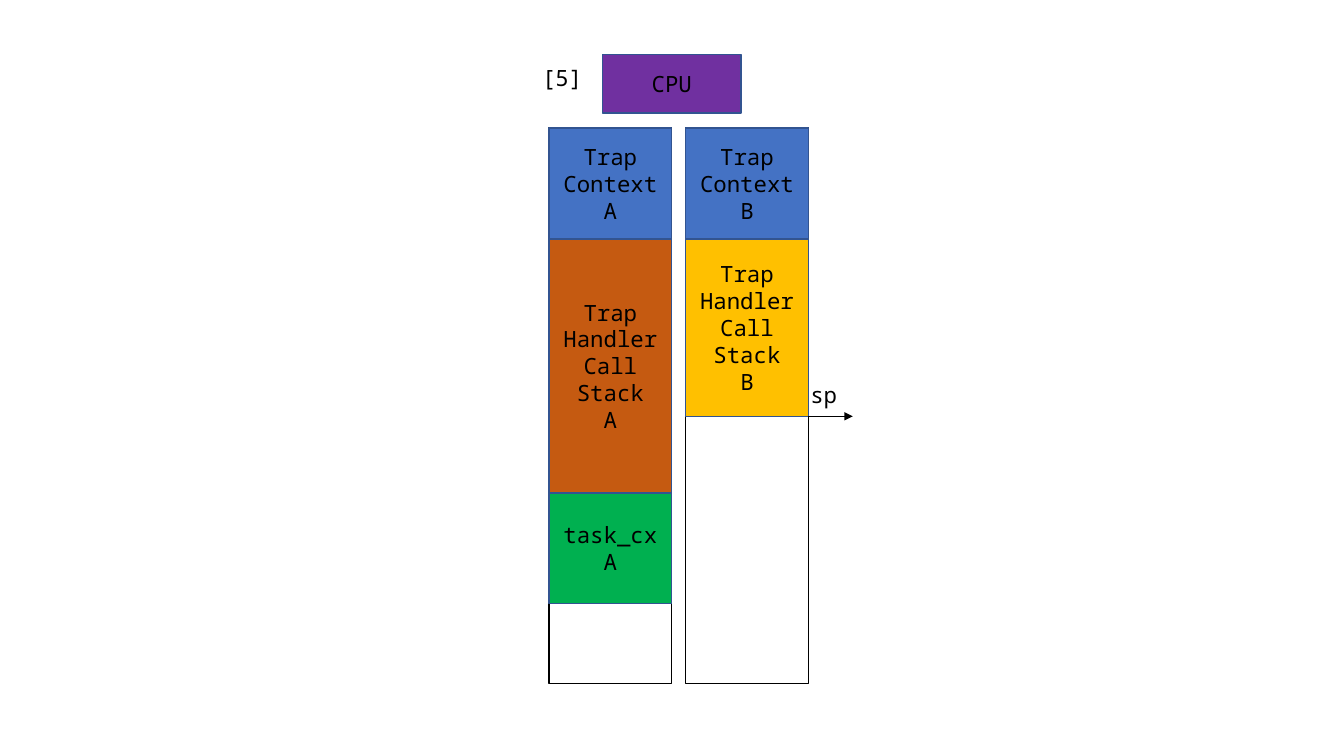
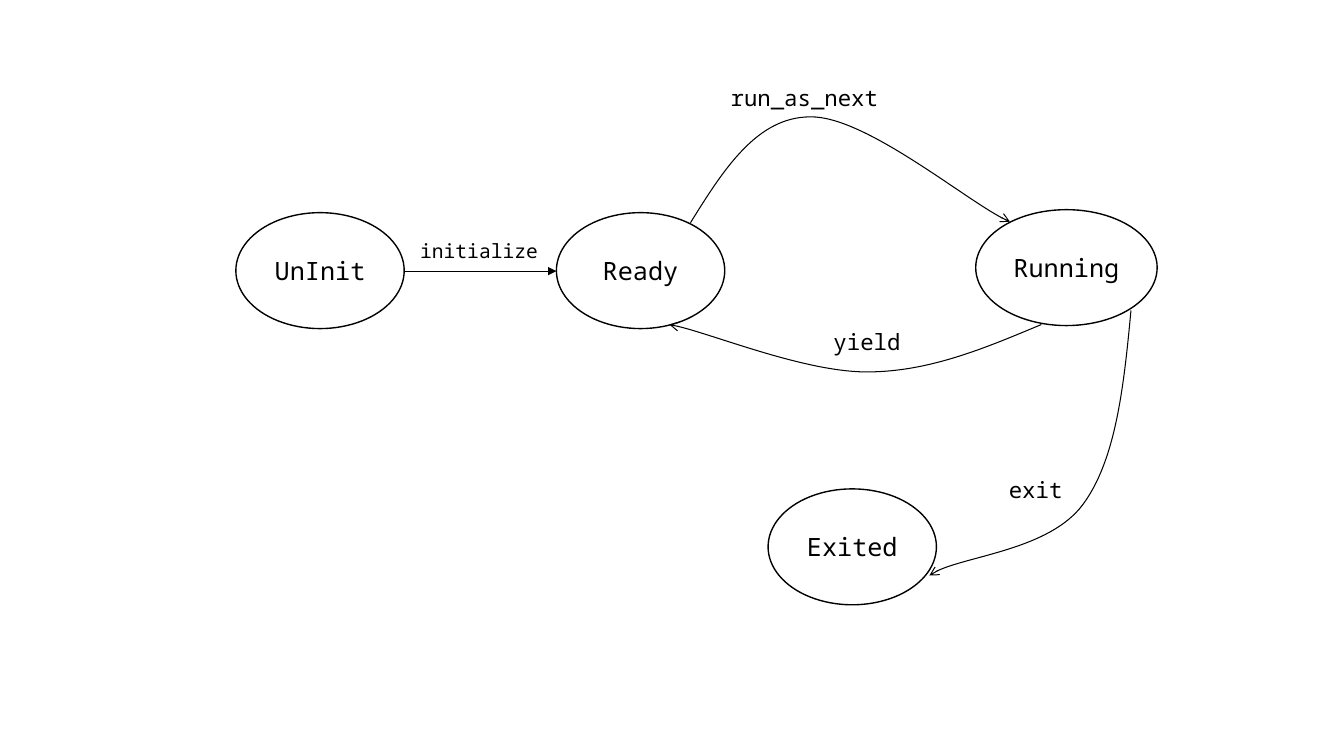
from dataclasses import dataclass
from typing import NamedTuple

from lxml import etree
from pptx import Presentation
from pptx.dml.color import RGBColor
from pptx.enum.shapes import MSO_CONNECTOR, MSO_SHAPE
from pptx.enum.text import MSO_ANCHOR, MSO_AUTO_SIZE, PP_ALIGN
from pptx.oxml.ns import qn
from pptx.shapes.base import BaseShape
from pptx.slide import Slide
from pptx.text.text import TextFrame
from pptx.util import Inches, Length, Pt

RECTANGLE = MSO_SHAPE.RECTANGLE
OVAL = MSO_SHAPE.OVAL
STRAIGHT = MSO_CONNECTOR.STRAIGHT
MIDDLE = MSO_ANCHOR.MIDDLE
CENTER = PP_ALIGN.CENTER
LEFT = PP_ALIGN.LEFT
FIT_SHAPE = MSO_AUTO_SIZE.SHAPE_TO_FIT_TEXT

CELL = 0.1
COLUMNS = 133.33
ROWS = 75
BLANK_LAYOUT = 6
BEZIER_POINTS = 3


@dataclass(frozen=True)
class Theme:
    font: str = "Noto Sans Mono"
    ink: str = "000000"
    paper: str = "FFFFFF"
    edge: str = "325491"
    trap_context: str = "4472C4"
    call_stack_a: str = "C55A11"
    call_stack_b: str = "FFC000"
    task_context: str = "00B050"
    cpu: str = "7030A0"
    small_size: float = 14
    body_size: float = 16
    state_size: float = 18
    outline: float = 1
    curve_line: float = 0.75
    arrow_line: float = 0.5


THEME = Theme()


class Point(NamedTuple):
    column: float
    row: float


class Box(NamedTuple):
    column: float
    row: float
    columns: float
    rows: float


class Block(NamedTuple):
    rows: float
    fill: str
    lines: tuple[str, ...]


class Stack(NamedTuple):
    column: float
    blocks: tuple[Block, ...]


class State(NamedTuple):
    name: str
    box: Box


class Label(NamedTuple):
    text: str
    box: Box
    size: float = THEME.body_size


STACK_TOP = 12.7
STACK_COLUMNS = 12.2
STACK_ROWS = 55.1
CONTEXT_ROWS = 11
CALL_STACK_WORDS = ("Trap", "Handler", "Call", "Stack")

STACKS = (
    Stack(54.45, (
        Block(CONTEXT_ROWS, THEME.trap_context, ("Trap", "Context", "A")),
        Block(25.2, THEME.call_stack_a, (*CALL_STACK_WORDS, "A")),
        Block(CONTEXT_ROWS, THEME.task_context, ("task_cx", "A")),
    )),
    Stack(68, (
        Block(CONTEXT_ROWS, THEME.trap_context, ("Trap", "Context", "B")),
        Block(17.6, THEME.call_stack_b, (*CALL_STACK_WORDS, "B")),
    )),
)
CPU_BOX = Box(59.8, 5.4, 13.7, 5.8)
STACK_LABELS = (
    Label("sp", Box(79.4, 37.3, 5.2, 3.7)),
    Label("[5]", Box(52.8, 5.9, 7, 3.7)),
)
STACK_POINTER = (Point(80.2, 41.3), Point(84.6, 41.3))

STATES = (
    State("UnInit", Box(23.4, 21.1, 16.7, 11.5)),
    State("Ready", Box(55.2, 21.1, 16.7, 11.5)),
    State("Running", Box(96.8, 20.8, 18, 11.5)),
    State("Exited", Box(76.2, 48.5, 16.7, 11.5)),
)
TRANSITION_LABELS = (
    Label("initialize", Box(40.7, 23.2, 13.9, 3.4), THEME.small_size),
    Label("yield", Box(81.7, 32.1, 26.2, 3.7)),
    Label("exit", Box(99.1, 46.7, 26.2, 3.7)),
    Label("run_as_next", Box(71.5, 7.9, 26.2, 3.7)),
)
INITIALIZE = (Point(40.1, 26.9), Point(55.2, 26.9))
RUN_AS_NEXT = (
    Point(68.5, 22.1), Point(71.8, 16.8), Point(75.1, 11.6), Point(80.4, 11.6),
    Point(85.7, 11.5), Point(96.7, 20.6), Point(100.2, 22),
)
EXIT = (
    Point(112.2, 30.8), Point(111.5, 38.3), Point(110.7, 45.7), Point(107.4, 50.1),
    Point(104.1, 54.5), Point(94.5, 55.3), Point(92.2, 57.1),
)
YIELD = (
    Point(103.3, 32.2), Point(97.8, 34.5), Point(92.2, 36.9), Point(86, 36.9),
    Point(79.9, 36.9), Point(69.6, 32.7), Point(66.4, 32.2),
)


def grid(cells: float) -> Length:
    return Inches(cells * CELL)


def color(value: str) -> RGBColor:
    return RGBColor.from_string(value)


def write_lines(frame: TextFrame, lines: tuple[str, ...], size: float, alignment: PP_ALIGN) -> None:
    frame.word_wrap = True
    for index, line in enumerate(lines):
        paragraph = frame.add_paragraph() if index else frame.paragraphs[0]
        paragraph.alignment = alignment
        run = paragraph.add_run()
        run.text = line
        run.font.name = THEME.font
        run.font.size = Pt(size)
        run.font.color.rgb = color(THEME.ink)


def draw_shape(
    slide: Slide, preset: MSO_SHAPE, box: Box, fill: str, edge: str,
    lines: tuple[str, ...] = (), size: float = THEME.body_size,
) -> None:
    shape = slide.shapes.add_shape(preset, *map(grid, box))
    shape.shadow.inherit = False
    shape.fill.solid()
    shape.fill.fore_color.rgb = color(fill)
    shape.line.color.rgb = color(edge)
    shape.line.width = Pt(THEME.outline)
    shape.text_frame.vertical_anchor = MIDDLE
    write_lines(shape.text_frame, lines, size, CENTER)


def draw_label(slide: Slide, label: Label) -> None:
    text_box = slide.shapes.add_textbox(*map(grid, label.box))
    write_lines(text_box.text_frame, (label.text,), label.size, LEFT)
    text_box.text_frame.auto_size = FIT_SHAPE


def style_arrow(shape: BaseShape, width: float, head: str) -> None:
    shape.line.color.rgb = color(THEME.ink)
    shape.line.width = Pt(width)
    outline = shape.element.spPr.find(qn("a:ln"))
    etree.SubElement(outline, qn("a:tailEnd"), type=head)


def draw_arrow(slide: Slide, start: Point, end: Point) -> None:
    connector = slide.shapes.add_connector(STRAIGHT, *map(grid, (*start, *end)))
    style_arrow(connector, THEME.arrow_line, "triangle")
    etree.SubElement(connector.element.spPr, qn("a:effectLst"))


def draw_curve(slide: Slide, points: tuple[Point, ...]) -> None:
    start, *rest = [(grid(point.column), grid(point.row)) for point in points]
    builder = slide.shapes.build_freeform(*start)
    builder.add_line_segments(rest, close=False)
    shape = builder.convert_to_shape()
    shape.shadow.inherit = False
    shape.fill.background()
    style_arrow(shape, THEME.curve_line, "arrow")
    segments = list(shape.element.iter(qn("a:lnTo")))
    for first in range(0, len(segments), BEZIER_POINTS):
        outline = segments[first].getparent()
        bezier = etree.SubElement(outline, qn("a:cubicBezTo"))
        for segment in segments[first:first + BEZIER_POINTS]:
            bezier.append(segment[0])
            outline.remove(segment)


def draw_stack(slide: Slide, stack: Stack) -> None:
    frame = Box(stack.column, STACK_TOP, STACK_COLUMNS, STACK_ROWS)
    draw_shape(slide, RECTANGLE, frame, THEME.paper, THEME.ink)
    row = STACK_TOP
    for block in stack.blocks:
        box = Box(stack.column, row, STACK_COLUMNS, block.rows)
        draw_shape(slide, RECTANGLE, box, block.fill, THEME.edge, block.lines)
        row += block.rows


def build_stack_slide(slide: Slide) -> None:
    for stack in STACKS:
        draw_stack(slide, stack)
    draw_arrow(slide, *STACK_POINTER)
    draw_shape(slide, RECTANGLE, CPU_BOX, THEME.cpu, THEME.edge, ("CPU",))
    for label in STACK_LABELS:
        draw_label(slide, label)


def build_state_slide(slide: Slide) -> None:
    for state in STATES:
        draw_shape(slide, OVAL, state.box, THEME.paper, THEME.ink, (state.name,), THEME.state_size)
    draw_arrow(slide, *INITIALIZE)
    for curve in (RUN_AS_NEXT, EXIT, YIELD):
        draw_curve(slide, curve)
    for label in TRANSITION_LABELS:
        draw_label(slide, label)


def main() -> None:
    presentation = Presentation()
    presentation.slide_width = grid(COLUMNS)
    presentation.slide_height = grid(ROWS)
    for build in (build_stack_slide, build_state_slide):
        build(presentation.slides.add_slide(presentation.slide_layouts[BLANK_LAYOUT]))
    presentation.save("out.pptx")


main()
